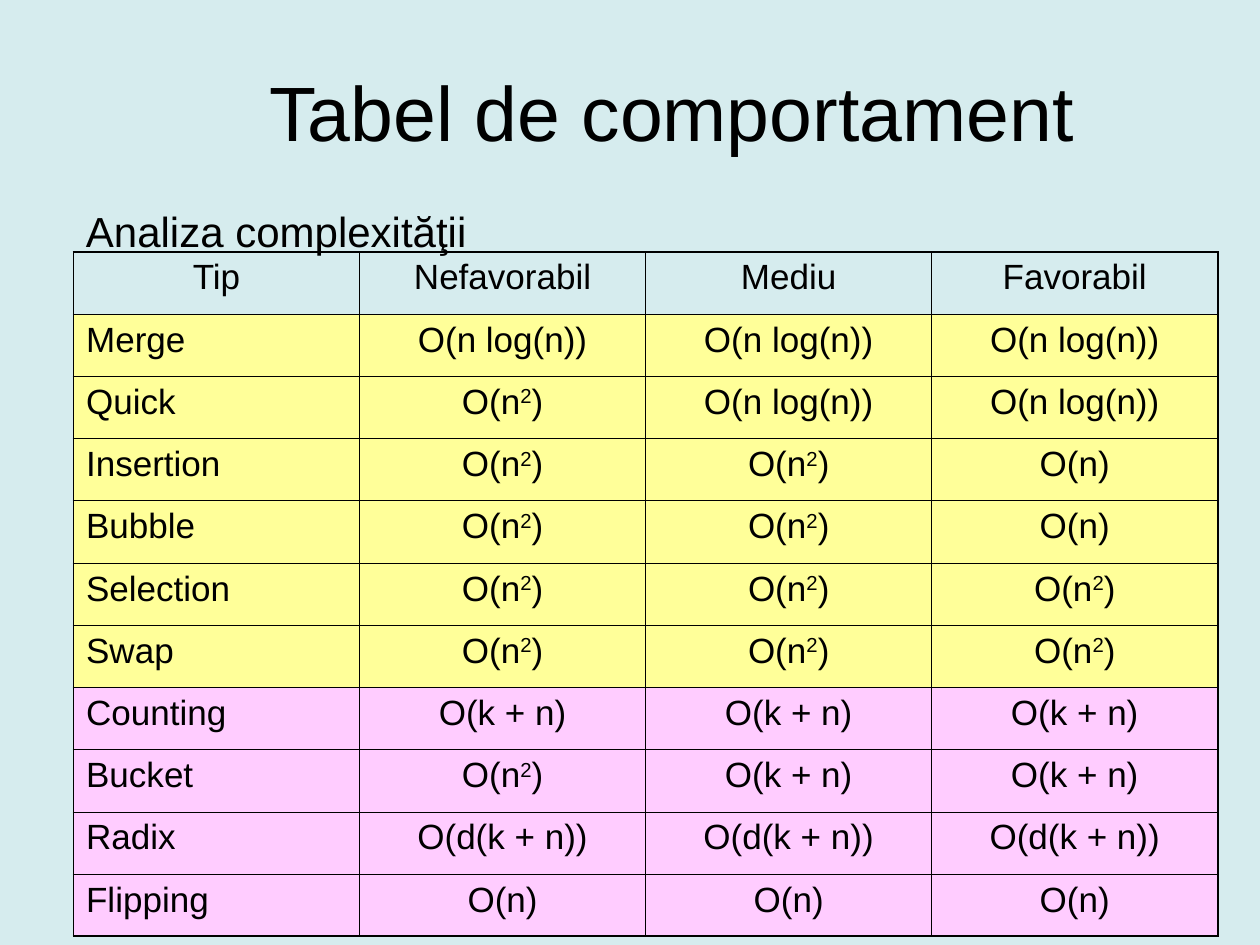
from lxml.etree import SubElement
from pptx import Presentation
from pptx.dml.color import RGBColor
from pptx.enum.text import MSO_ANCHOR, PP_ALIGN
from pptx.oxml.ns import qn
from pptx.util import Pt

BLACK, YELLOW, PINK = "000000", "FFFF99", "FFCCFF"
THIN, THICK = 0.45, 1.08
LOG, SQUARE, LINEAR = "O(n log(n))", "O(n²)", "O(n)"
BINS, DIGITS = "O(k + n)", "O(d(k + n))"

HEADER = ("Tip", "Nefavorabil", "Mediu", "Favorabil")
COMPARISON_SORTS = [
    ("Merge", LOG, LOG, LOG),
    ("Quick", SQUARE, LOG, LOG),
    ("Insertion", SQUARE, SQUARE, LINEAR),
    ("Bubble", SQUARE, SQUARE, LINEAR),
    ("Selection", SQUARE, SQUARE, SQUARE),
    ("Swap", SQUARE, SQUARE, SQUARE),
]
DISTRIBUTION_SORTS = [
    ("Counting", BINS, BINS, BINS),
    ("Bucket", SQUARE, BINS, BINS),
    ("Radix", DIGITS, DIGITS, DIGITS),
    ("Flipping", LINEAR, LINEAR, LINEAR),
]


def color(value):
    return RGBColor.from_string(value)


class SlideBuilder:
    font_name = "Arial"
    text_color = BLACK

    def __init__(self, slide):
        self.slide = slide

    def background(self, value):
        fill = self.slide.background.fill
        fill.solid()
        fill.fore_color.rgb = color(value)

    def fill_paragraph(self, paragraph, text, size, alignment):
        """Set the text, raising a ² as a superscript 2."""
        before, square, after = text.partition("²")
        paragraph.alignment = alignment
        paragraph.font.name = self.font_name
        paragraph.font.size = Pt(size)
        paragraph.font.color.rgb = color(self.text_color)
        paragraph.add_run().text = before
        if square:
            exponent = paragraph.add_run()
            exponent.text = "2"
            exponent.font._element.set("baseline", "30000")
            paragraph.add_run().text = after

    def text(self, text, left, top, width, height, size,
             alignment=PP_ALIGN.LEFT, anchor=MSO_ANCHOR.TOP):
        shape = self.slide.shapes.add_textbox(
            Pt(left), Pt(top), Pt(width), Pt(height))
        frame = shape.text_frame
        frame.word_wrap = True
        frame.vertical_anchor = anchor
        self.fill_paragraph(frame.paragraphs[0], text, size, alignment)

    def border(self, cell, side, width):
        line = SubElement(cell._tc.get_or_add_tcPr(), qn(f"a:ln{side}"),
                          w=str(int(Pt(width))))
        fill = SubElement(line, qn("a:solidFill"))
        SubElement(fill, qn("a:srgbClr"), val=BLACK)

    def table(self, rows, fills, left, top, column_width, row_height, size):
        row_count, column_count = len(rows), len(rows[0])
        table = self.slide.shapes.add_table(
            row_count, column_count, Pt(left), Pt(top),
            Pt(column_width * column_count), Pt(row_height * row_count)).table
        table.first_row = table.horz_banding = False
        for column in table.columns:
            column.width = Pt(column_width)
        for r, (values, fill) in enumerate(zip(rows, fills)):
            table.rows[r].height = Pt(row_height)
            for c, value in enumerate(values):
                cell = table.cell(r, c)
                # Outer edges are thicker than the inner grid
                outer = {"L": c == 0, "R": c == column_count - 1,
                         "T": r == 0, "B": r == row_count - 1}
                for side, is_outer in outer.items():
                    self.border(cell, side, THICK if is_outer else THIN)
                if fill:
                    cell.fill.solid()
                    cell.fill.fore_color.rgb = color(fill)
                else:
                    cell.fill.background()
                is_name = r > 0 and c == 0
                self.fill_paragraph(
                    cell.text_frame.paragraphs[0], value, size,
                    PP_ALIGN.LEFT if is_name else PP_ALIGN.CENTER)


def main():
    presentation = Presentation()
    presentation.slide_width, presentation.slide_height = Pt(720), Pt(540)
    builder = SlideBuilder(
        presentation.slides.add_slide(presentation.slide_layouts[6]))
    builder.background("D6ECEE")

    # Subtitle and title
    builder.text("Analiza complexităţii", 42, 114, 624, 65, 24)
    builder.text("Tabel de comportament", 60, 18, 648, 90, 44,
                 PP_ALIGN.CENTER, MSO_ANCHOR.MIDDLE)

    # Complexity table, coloured by family of sorts
    rows = [HEADER] + COMPARISON_SORTS + DISTRIBUTION_SORTS
    fills = ([None] + [YELLOW] * len(COMPARISON_SORTS)
             + [PINK] * len(DISTRIBUTION_SORTS))
    builder.table(rows, fills, 42, 144, 163.5, 35.55, 20)

    presentation.save("out.pptx")


if __name__ == "__main__":
    main()
